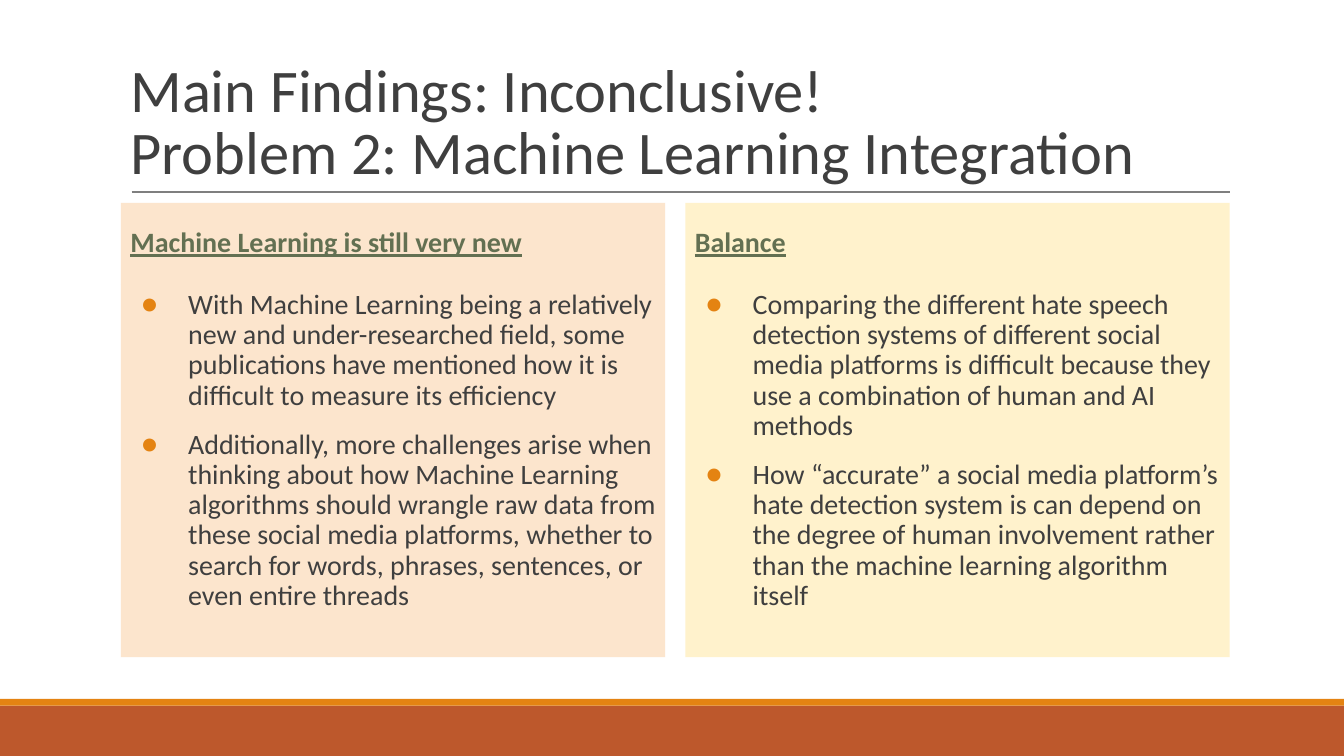
"""Build a slide with a title and two tinted columns of findings."""
from lxml.etree import SubElement
from pptx import Presentation
from pptx.dml.color import RGBColor
from pptx.enum.shapes import MSO_CONNECTOR, MSO_SHAPE
from pptx.enum.text import MSO_ANCHOR, PP_ALIGN
from pptx.oxml.ns import qn
from pptx.util import Inches, Pt

TITLE = ["Main Findings: Inconclusive!", "Problem 2: Machine Learning Integration"]
COLUMNS = [
    ("Machine Learning is still very new", "peach", [
        "With Machine Learning being a relatively new and under-researched field, "
        "some publications have mentioned how it is difficult to measure its efficiency",
        "Additionally, more challenges arise when thinking about how Machine Learning "
        "algorithms should wrangle raw data from these social media platforms, whether "
        "to search for words, phrases, sentences, or even entire threads",
    ]),
    ("Balance", "cream", [
        "Comparing the different hate speech detection systems of different social media "
        "platforms is difficult because they use a combination of human and AI methods",
        "How “accurate” a social media platform’s hate detection system is can depend on "
        "the degree of human involvement rather than the machine learning algorithm itself",
    ]),
]
COLORS = {"rust": "BD582C", "orange": "E48312", "rule": "7F7F7F", "text": "3F3F3F",
          "green": "637052", "peach": "FCE5CD", "cream": "FFF2CC"}
BANDS = [("rust", 5.25, 0.38), ("orange", 5.2, 0.05)]
LEFT, WIDTH, GAP = 0.9, 4.05, 0.15
HEAD = {"size": Pt(15), "bold": True, "underline": True}
BODY = {"size": Pt(15)}


def color(name):
    return RGBColor.from_string(COLORS[name])


def add_box(slide, box, fill):
    shape = slide.shapes.add_shape(MSO_SHAPE.RECTANGLE, *map(Inches, box))
    shape.shadow.inherit = False
    shape.fill.solid()
    shape.fill.fore_color.rgb = color(fill)
    shape.line.fill.background()
    return shape


def add_bullet(para):
    props = para._p.get_or_add_pPr()
    props.set("marL", str(Inches(0.5)))
    props.set("indent", str(Inches(-0.35)))
    tint = SubElement(props, qn("a:buClr"))
    SubElement(tint, qn("a:srgbClr")).set("val", COLORS["orange"])
    SubElement(props, qn("a:buFont")).set("typeface", "Calibri")
    SubElement(props, qn("a:buChar")).set("char", "●")


def write(shape, lines, tone, font, lead, gaps, anchor, inset=0.07, bullet=False):
    frame = shape.text_frame
    frame.word_wrap = True
    frame.vertical_anchor = anchor
    frame.margin_left = frame.margin_right = Inches(inset)
    frame.margin_top = frame.margin_bottom = Inches(0.04)
    for i, (line, (before, after)) in enumerate(zip(lines, gaps)):
        para = frame.paragraphs[0] if i == 0 else frame.add_paragraph()
        para.alignment = PP_ALIGN.LEFT
        para.line_spacing = lead
        para.space_before, para.space_after = Pt(before), Pt(after)
        if bullet:
            add_bullet(para)
        run = para.add_run()
        run.text = line
        run.font.name = "Calibri"
        run.font.color.rgb = color(tone)
        for name, value in font.items():
            setattr(run.font, name, value)


def main():
    deck = Presentation()
    deck.slide_width, deck.slide_height = Inches(10), Inches(10) * 9 // 16
    slide = deck.slides.add_slide(deck.slide_layouts[6])
    for fill, top, height in BANDS:
        add_box(slide, (0, top, 10, height), fill)

    ends = map(Inches, (0.98, 1.43, 9.15, 1.43))
    rule = slide.shapes.add_connector(MSO_CONNECTOR.STRAIGHT, *ends)
    rule.line.color.rgb = color("rule")
    rule.line.width = Pt(0.75)
    SubElement(rule._element.spPr, qn("a:effectLst"))

    title = slide.shapes.add_textbox(*map(Inches, (LEFT, 0.24, 2 * WIDTH + GAP, 1.19)))
    write(title, TITLE, "text", {"size": Pt(32.4)}, 0.85, [(0, 0)] * 2, MSO_ANCHOR.BOTTOM)

    for i, (head, fill, points) in enumerate(COLUMNS):
        left = LEFT + i * (WIDTH + GAP)
        top = add_box(slide, (left, 1.51, WIDTH, 0.61), fill)
        write(top, [head], "green", HEAD, 0.9, [(9, 2)], MSO_ANCHOR.MIDDLE)
        body = add_box(slide, (left, 2.12, WIDTH, 2.77), fill)
        write(body, points, "text", BODY, 0.9, [(9, 0), (10, 10)], MSO_ANCHOR.TOP, 0, True)

    deck.save("out.pptx")


if __name__ == "__main__":
    main()
